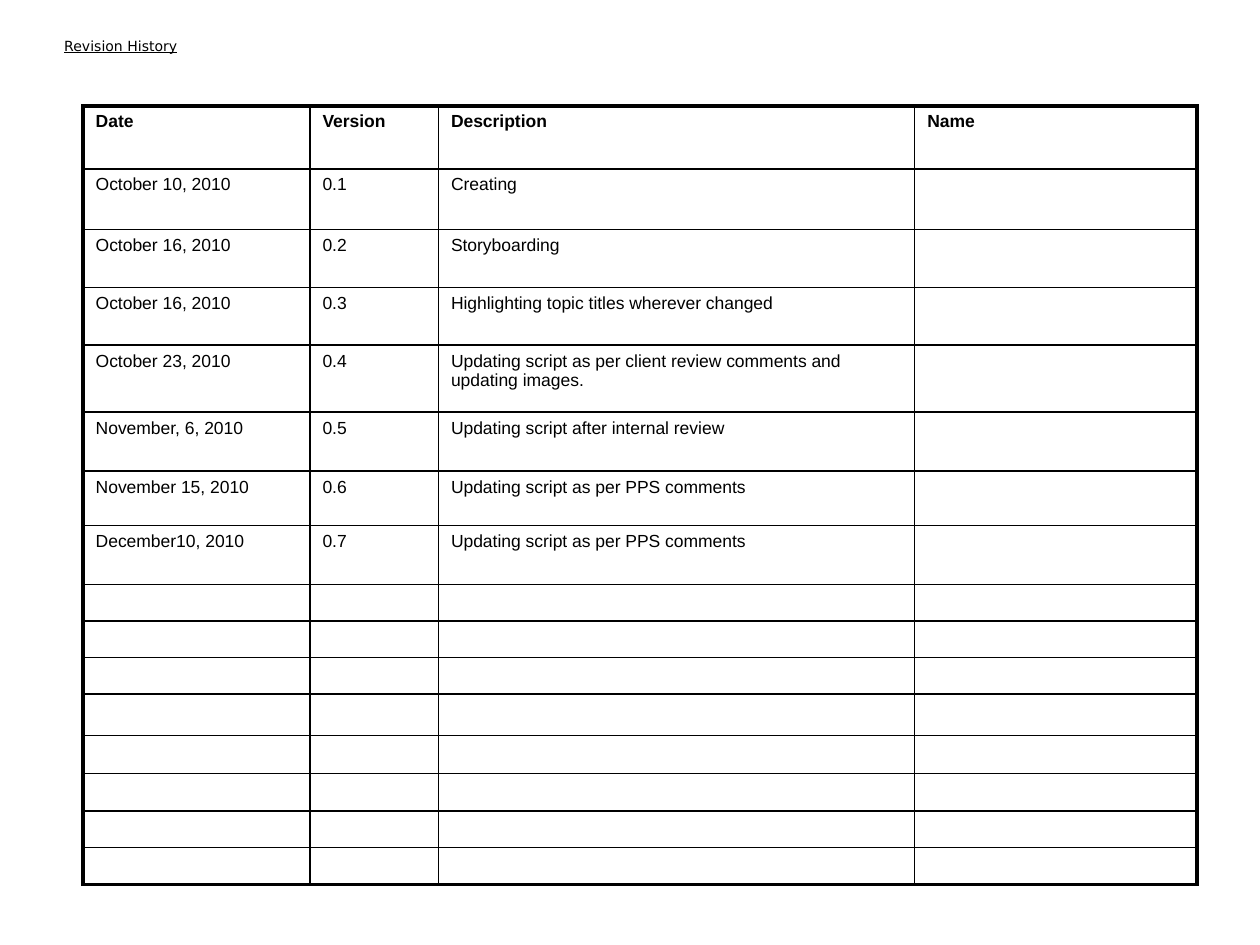
from typing import NamedTuple

import pptx
import pptx.dml.color
import pptx.enum.shapes
import pptx.enum.text
import pptx.oxml
import pptx.oxml.ns
import pptx.util
from pptx.util import Inches

BLACK = "000000"
WHITE = "FFFFFF"
OUTER_BORDER = 2.25
INNER_BORDER = 1
COLUMN_WIDTHS = [1.8, 1.02, 3.78, 2.24]
ROW_HEIGHTS = [0.5, 0.48, 0.46, 0.46, 0.53, 0.47, 0.43, 0.47,
               0.29, 0.29, 0.29, 0.33, 0.3, 0.3, 0.29, 0.29]


class Panel(NamedTuple):
    left: float
    top: float
    width: float
    height: float
    outlined: bool


class Revision(NamedTuple):
    date: str = ""
    version: str = ""
    description: str = ""
    name: str = ""


PANELS = [
    Panel(2.58, 0.08, 7.42, 7.25, outlined=True),
    Panel(2.5, 4.83, 2.83, 0.33, outlined=False),
]
HEADER = Revision("Date", "Version", "Description", "Name")
REVISIONS = [
    Revision("October 10, 2010", "0.1", "Creating"),
    Revision("October 16, 2010", "0.2", "Storyboarding"),
    Revision("October 16, 2010", "0.3", "Highlighting topic titles wherever changed"),
    Revision("October 23, 2010", "0.4",
             "Updating script as per client review comments and updating images."),
    Revision("November, 6, 2010", "0.5", "Updating script after internal review"),
    Revision("November 15, 2010", "0.6", "Updating script as per PPS comments"),
    Revision("December10, 2010", "0.7", "Updating script as per PPS comments"),
]


def color(value: str) -> pptx.dml.color.RGBColor:
    return pptx.dml.color.RGBColor.from_string(value)


def format_font(font, name: str, size: float, bold: bool = False) -> None:
    font.name = name
    font.size = pptx.util.Pt(size)
    font.bold = bold
    font.color.rgb = color(BLACK)


def add_panel(slide, panel: Panel) -> None:
    shape = slide.shapes.add_shape(
        pptx.enum.shapes.MSO_SHAPE.RECTANGLE, Inches(panel.left), Inches(panel.top),
        Inches(panel.width), Inches(panel.height))
    shape.shadow.inherit = False
    shape.fill.solid()
    shape.fill.fore_color.rgb = color(WHITE)
    if panel.outlined:
        shape.line.color.rgb = color(WHITE)
        shape.line.width = pptx.util.Pt(0.75)
    else:
        shape.line.fill.background()


def set_borders(cell, widths: dict[str, float]) -> None:
    """Draw a solid border on each side (L, R, T, B), widths in points."""
    properties = cell._tc.get_or_add_tcPr()
    for position, (side, width) in enumerate(widths.items()):
        border = pptx.oxml.parse_xml(
            f'<a:ln{side} {pptx.oxml.ns.nsdecls("a")} w="{pptx.util.Pt(width)}">'
            f'<a:solidFill><a:srgbClr val="{BLACK}"/></a:solidFill>'
            f'<a:prstDash val="solid"/></a:ln{side}>')
        properties.insert(position, border)


def fill_cell(cell, text: str, bold: bool) -> None:
    cell.fill.background()
    cell.text_frame.text = text
    paragraph = cell.text_frame.paragraphs[0]
    for run in paragraph.runs:
        format_font(run.font, "Arial", 10, bold)
    if not text:
        # An empty cell needs a small end mark, or its row grows.
        paragraph._p.append(pptx.oxml.parse_xml(
            f'<a:endParaRPr {pptx.oxml.ns.nsdecls("a")} sz="1000"/>'))


def add_title(slide, text: str) -> None:
    title = slide.shapes.title
    title.left, title.top = Inches(0.41), Inches(0.25)
    title.width, title.height = Inches(3.33), Inches(0.23)
    text_frame = title.text_frame
    text_frame.text = text
    text_frame.word_wrap = True
    text_frame.auto_size = pptx.enum.text.MSO_AUTO_SIZE.NONE
    text_frame.vertical_anchor = pptx.enum.text.MSO_ANCHOR.MIDDLE
    paragraph = text_frame.paragraphs[0]
    paragraph.alignment = pptx.enum.text.PP_ALIGN.LEFT
    font = paragraph.runs[0].font
    format_font(font, "DejaVu Sans", 8)
    font.underline = True


def add_revision_table(slide) -> None:
    row_count, column_count = len(ROW_HEIGHTS), len(COLUMN_WIDTHS)
    table = slide.shapes.add_table(
        row_count, column_count, Inches(0.66), Inches(0.84),
        Inches(sum(COLUMN_WIDTHS)), Inches(sum(ROW_HEIGHTS))).table
    table.first_row = False
    table.horz_banding = False
    for column, width in zip(table.columns, COLUMN_WIDTHS):
        column.width = Inches(width)
    for row, height in zip(table.rows, ROW_HEIGHTS):
        row.height = Inches(height)

    spare_rows = [Revision()] * (row_count - 1 - len(REVISIONS))
    for row_index, revision in enumerate([HEADER, *REVISIONS, *spare_rows]):
        for column_index, text in enumerate(revision):
            cell = table.cell(row_index, column_index)
            fill_cell(cell, text, bold=row_index == 0)
            on_edge = {
                "L": column_index == 0,
                "R": column_index == column_count - 1,
                "T": row_index == 0,
                "B": row_index == row_count - 1,
            }
            set_borders(cell, {side: OUTER_BORDER if outer else INNER_BORDER
                               for side, outer in on_edge.items()})


def main() -> None:
    presentation = pptx.Presentation()
    presentation.slide_width = Inches(10)
    presentation.slide_height = Inches(7.5)
    title_only = presentation.slide_layouts[5]
    slide = presentation.slides.add_slide(title_only)
    add_title(slide, "Revision History")
    for panel in PANELS:
        add_panel(slide, panel)
    add_revision_table(slide)
    presentation.save("out.pptx")


if __name__ == "__main__":
    main()
